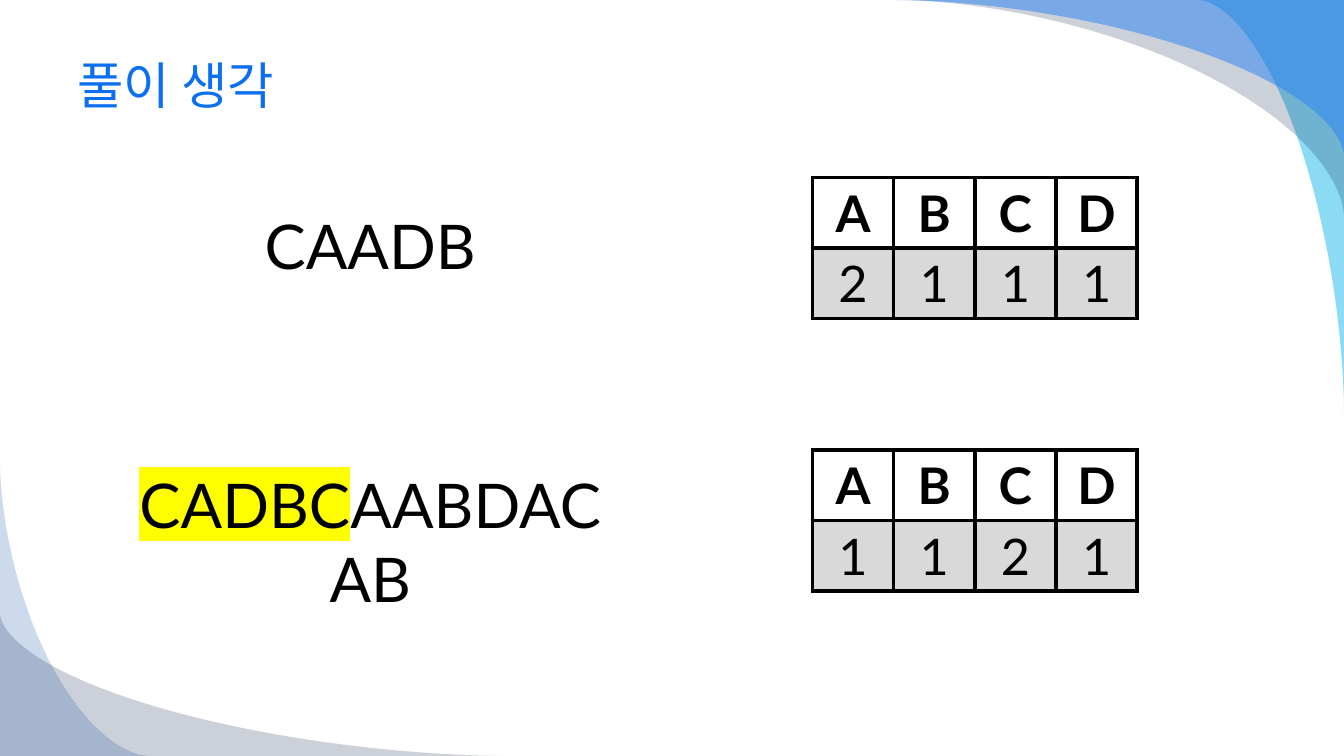
from math import cos, pi, sin

from lxml import etree
from pptx import Presentation
from pptx.dml.color import RGBColor
from pptx.enum.text import MSO_ANCHOR, PP_ALIGN
from pptx.oxml.ns import qn
from pptx.util import Pt

CENTER = PP_ALIGN.CENTER
MIDDLE = MSO_ANCHOR.MIDDLE
FONT = "Lato"
SLIDE_WIDTH, SLIDE_HEIGHT = 960, 540
COLORS = {
    "title": "0C6FF2",
    "text": "000000",
    "border": "000000",
    "highlight": "FFFF00",
    "header": "FFFFFF",
    "count": "D9D9D9",
    "cyan": "00B1E9",
    "navy": "021741",
    "blue": "247FF4",
    "deep": "084AA1",
}
TOP_RIGHT = (SLIDE_WIDTH, 0, -1, 1)
BOTTOM_LEFT = (0, SLIDE_HEIGHT, 1, -1)
SWOOSHES = [
    (TOP_RIGHT, 104, 294, "cyan", 45),
    (TOP_RIGHT, 320, 155, "navy", 20),
    (TOP_RIGHT, 320, 111.5, "blue", 49),
    (BOTTOM_LEFT, 360, 102, "navy", 20),
    (BOTTOM_LEFT, 106.5, 210, "deep", 20),
]
CURVE_POWER = 1.75
CURVE_STEPS = 60


def style_run(run, size, color, bold=False):
    """Set the font, size, colour and weight of a run."""
    run.font.name = FONT
    run.font.size = Pt(size)
    run.font.bold = bold
    run.font.color.rgb = RGBColor.from_string(COLORS[color])


def add_color(parent, color):
    """Append a solid fill to an XML element and return its colour element."""
    fill = etree.SubElement(parent, qn("a:solidFill"))
    return etree.SubElement(fill, qn("a:srgbClr"), val=COLORS[color])


def add_swoosh(slide, corner, width, height, color, opacity):
    """Fill a slide corner up to a concave curve of the given width and height."""
    left, top, across, down = corner
    points = []
    for step in range(CURVE_STEPS + 1):
        angle = pi / 2 * step / CURVE_STEPS
        x = 1 - abs(cos(angle)) ** (2 / CURVE_POWER)
        y = 1 - sin(angle) ** (2 / CURVE_POWER)
        points.append((Pt(left + across * width * x), Pt(top + down * height * y)))
    builder = slide.shapes.build_freeform(Pt(left), Pt(top))
    builder.add_line_segments(points, close=True)
    shape = builder.convert_to_shape()
    shape.shadow.inherit = False
    shape.line.fill.background()
    shape.fill.solid()
    shape.fill.fore_color.rgb = RGBColor.from_string(COLORS[color])
    tint = shape.fill._xPr.find(qn("a:solidFill")).find(qn("a:srgbClr"))
    etree.SubElement(tint, qn("a:alpha"), val=str(opacity * 1000))


def add_title(slide, box, text):
    """Write the slide title, vertically centred in its box."""
    text_frame = slide.shapes.add_textbox(*map(Pt, box)).text_frame
    text_frame.word_wrap = True
    text_frame.vertical_anchor = MIDDLE
    text_frame.text = text
    style_run(text_frame.paragraphs[0].runs[0], 36, "title")


def add_strings(slide, box, first, marked, rest, gap):
    """Write two centred strings, the second with a highlighted beginning."""
    text_frame = slide.shapes.add_textbox(*map(Pt, box)).text_frame
    text_frame.word_wrap = True
    text_frame.text = first
    second = text_frame.add_paragraph()
    second.space_before = Pt(gap)
    for part in (marked, rest):
        second.add_run().text = part
    for paragraph in text_frame.paragraphs:
        paragraph.alignment = CENTER
        for run in paragraph.runs:
            style_run(run, 44, "text")
    fill = second.runs[0].font._element.find(qn("a:solidFill"))
    highlight = etree.Element(qn("a:highlight"))
    etree.SubElement(highlight, qn("a:srgbClr"), val=COLORS["highlight"])
    fill.addnext(highlight)


def add_borders(cell):
    """Draw a solid line on all four sides of a table cell."""
    properties = cell._tc.get_or_add_tcPr()
    for side in ("a:lnL", "a:lnR", "a:lnT", "a:lnB"):
        line = etree.SubElement(properties, qn(side), w=str(Pt(3)))
        add_color(line, "border")


def add_counts(slide, box, counts):
    """Build a table of letters over their counts."""
    left, top, width, height = box
    rows = [list(counts), list(counts.values())]
    table = slide.shapes.add_table(
        len(rows), len(counts), Pt(left), Pt(top), Pt(width), Pt(height)
    ).table
    for column in table.columns:
        column.width = Pt(width / len(counts))
    for row_index, values in enumerate(rows):
        table.rows[row_index].height = Pt(height / len(rows))
        for column_index, value in enumerate(values):
            cell = table.cell(row_index, column_index)
            cell.text = str(value)
            cell.vertical_anchor = MIDDLE
            paragraph = cell.text_frame.paragraphs[0]
            paragraph.alignment = CENTER
            style_run(paragraph.runs[0], 36, "text", bold=row_index == 0)
            add_borders(cell)
            cell.fill.solid()
            fill_color = "count" if row_index else "header"
            cell.fill.fore_color.rgb = RGBColor.from_string(COLORS[fill_color])


def main():
    """Build and save the presentation."""
    presentation = Presentation()
    presentation.slide_width = Pt(SLIDE_WIDTH)
    presentation.slide_height = Pt(SLIDE_HEIGHT)
    slide = presentation.slides.add_slide(presentation.slide_layouts[6])
    for swoosh in SWOOSHES:
        add_swoosh(slide, *swoosh)
    add_title(slide, (48, 24, 864, 72.5), "풀이 생각")
    add_strings(slide, (92, 145, 345, 337), "CAADB", "CADBC", "AABDACAB", 132)
    add_counts(slide, (580.3, 126.7, 232, 100.8), {"A": 2, "B": 1, "C": 1, "D": 1})
    add_counts(slide, (580.3, 321.4, 232, 100.8), {"A": 1, "B": 1, "C": 2, "D": 1})
    presentation.save("out.pptx")


if __name__ == "__main__":
    main()
